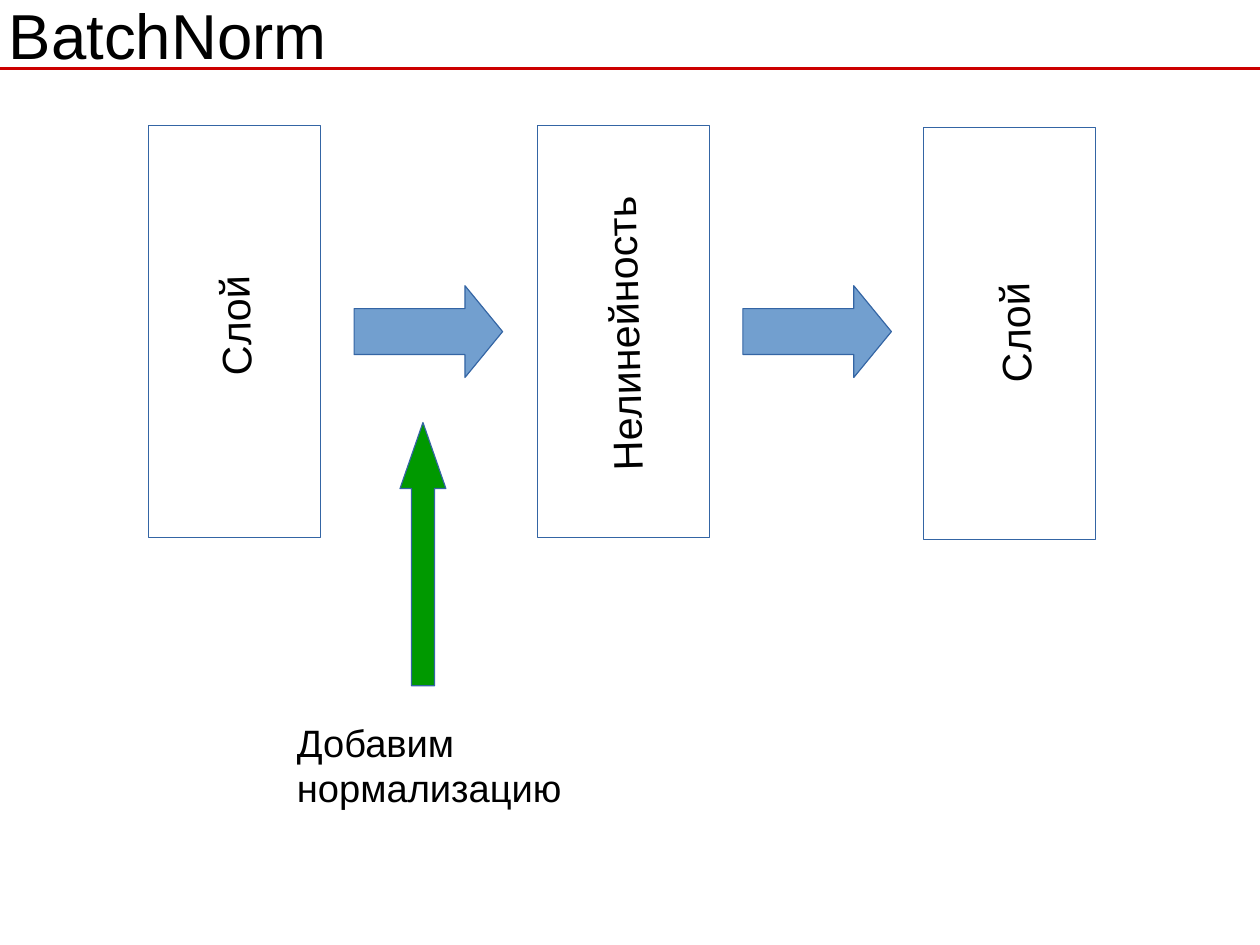
from pptx import Presentation
from pptx.dml.color import RGBColor
from pptx.enum.shapes import MSO_CONNECTOR, MSO_SHAPE
from pptx.enum.text import MSO_ANCHOR, PP_ALIGN
from pptx.oxml.ns import qn
from pptx.util import Cm, Pt
from lxml.etree import SubElement

BLACK, RED, GREEN = "000000", "CC0000", "009900"
BLUE, OUTLINE = "729FCF", "3465A4"
STEP = 8.64


def color(hex_code):
    return RGBColor.from_string(hex_code)


def write(frame, text, size=24, font="Arial", ink=BLACK, anchor=MSO_ANCHOR.TOP,
          margins=(0.25, 0.13)):
    frame.word_wrap = True
    frame.vertical_anchor = anchor
    frame.margin_left = frame.margin_right = Cm(margins[0])
    frame.margin_top = frame.margin_bottom = Cm(margins[1])
    paragraph = frame.paragraphs[0]
    paragraph.alignment = PP_ALIGN.LEFT
    run = paragraph.add_run()
    run.text = text
    run.font.size = Pt(size)
    run.font.name = font
    run.font.color.rgb = color(ink)


class Diagram:
    """Draws the parts of a network diagram on one slide."""

    def __init__(self, slide, outline):
        self.slide = slide
        self.outline = outline

    def title(self, text, *place):
        heading = self.slide.shapes.title
        heading.left, heading.top, heading.width, heading.height = map(Cm, place)
        write(heading.text_frame, text, size=40, anchor=MSO_ANCHOR.MIDDLE, margins=(0, 0))

    def rule(self, y, width, ink):
        rule = self.slide.shapes.add_connector(
            MSO_CONNECTOR.STRAIGHT, Cm(0), Cm(y), Cm(width), Cm(y))
        rule.line.color.rgb = color(ink)
        rule.line.width = Pt(1.5)
        SubElement(rule._element.spPr, qn("a:effectLst"))

    def shape(self, kind, *place, fill=None, adjustments=()):
        shape = self.slide.shapes.add_shape(kind, *map(Cm, place))
        shape.shadow.inherit = False
        if fill:
            shape.fill.solid()
            shape.fill.fore_color.rgb = color(fill)
        else:
            shape.fill.background()
        shape.line.color.rgb = color(self.outline)
        shape.line.width = Pt(0)
        for index, value in enumerate(adjustments):
            shape.adjustments[index] = value

    def label(self, text, *place, size=24, rotation=0):
        label = self.slide.shapes.add_textbox(*map(Cm, place))
        label.rotation = rotation
        write(label.text_frame, text, size=size)


def main():
    deck = Presentation()
    deck.slide_width, deck.slide_height = Cm(28), Cm(21)
    diagram = Diagram(deck.slides.add_slide(deck.slide_layouts[5]), OUTLINE)

    diagram.rule(1.52, 28, RED)
    diagram.title("BatchNorm", 0.2, -0.03, 25.2, 1.58)

    stages = [
        ("Слой", (3.3, 2.79), (3.63, 6.45, 3.05, 1.27)),
        ("Нелинейность", (3.3 + STEP, 2.79), (11.13, 5.33, 7.37, 3.33)),
        ("Слой", (20.52, 2.84), (20.96, 6.6, 3.05, 1.27)),
    ]
    for name, corner, name_place in stages:
        diagram.shape(MSO_SHAPE.RECTANGLE, *corner, 3.82, 9.15)
        diagram.label(name, *name_place, size=26, rotation=268.5)

    for gap in range(2):
        diagram.shape(MSO_SHAPE.RIGHT_ARROW, 7.87 + gap * STEP, 6.35, 3.3, 2.04,
                      fill=BLUE, adjustments=(0.5, 0.41))

    diagram.shape(MSO_SHAPE.UP_ARROW, 8.89, 9.39, 1.02, 5.85,
                  fill=GREEN, adjustments=(0.5, 1.44))
    diagram.label("Добавим нормализацию", 6.35, 15.85, 7.11, 2.13)

    deck.save("out.pptx")


if __name__ == "__main__":
    main()
